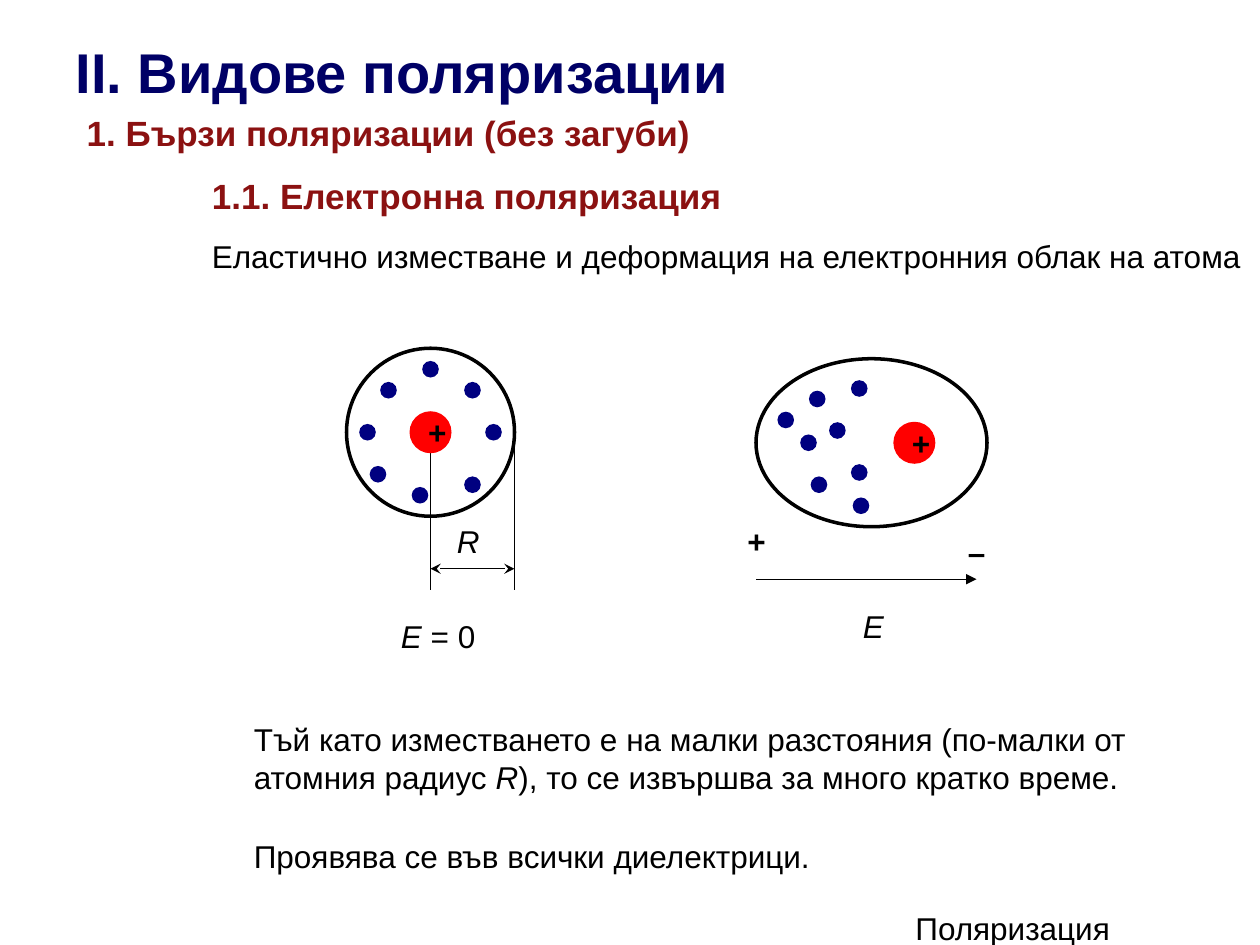
from lxml.etree import SubElement
from pptx import Presentation
from pptx.dml.color import RGBColor
from pptx.enum.shapes import MSO_CONNECTOR as Connector, MSO_SHAPE as Shape
from pptx.enum.text import MSO_ANCHOR as Anchor, MSO_AUTO_SIZE as AutoSize, PP_ALIGN as Align
from pptx.oxml.ns import qn
from pptx.util import Pt

COLORS = {"text": "000000", "title": "000066", "heading": "8B1111",
          "nucleus": "FF0000", "electron": "000080"}
FONT = "Arial"
NUCLEUS_SIZE, ELECTRON_SIZE = 24, 9.5

# Electron centres, measured from the centre of the cloud
ELECTRONS_AT_REST = [(0, -36), (24, -24), (36, 0), (24, 30),
                     (-6, 36), (-30, 24), (-36, 0), (-24, -24)]
ELECTRONS_IN_FIELD = [(-7, -31), (-19.5, -7), (-49, -13), (-7, 17),
                      (-6, 36), (-30, 24), (-36, 0), (-31, -25)]


def color(name):
    return RGBColor.from_string(COLORS[name])


class SlideBuilder:
    def __init__(self, slide):
        self.slide = slide
        self.shapes = slide.shapes

    def start_group(self):
        self.shapes = self.slide.shapes.add_group_shape().shapes

    def end_group(self):
        self.shapes = self.slide.shapes

    def set_text(self, shape, runs, size=18, ink="text", bold=False, wrap=False,
                 align=Align.LEFT, anchor=Anchor.TOP):
        """Fill a shape with one paragraph of (text, italic) runs."""
        text_frame = shape.text_frame
        text_frame.word_wrap = wrap
        text_frame.auto_size = AutoSize.NONE
        text_frame.vertical_anchor = anchor
        paragraph = text_frame.paragraphs[0]
        paragraph.alignment = align
        for text, italic in runs:
            run = paragraph.add_run()
            run.text = text
            font = run.font
            font.name, font.size = FONT, Pt(size)
            font.bold, font.italic = bold, italic
            font.color.rgb = color(ink)

    def title(self, text, left, top, width, height):
        shape = self.slide.shapes.title
        shape.left, shape.top = Pt(left), Pt(top)
        shape.width, shape.height = Pt(width), Pt(height)
        self.set_text(shape, [(text, False)], size=32, ink="title", bold=True)

    def label(self, runs, left, top, width, height=28.8, **style):
        box = self.shapes.add_textbox(Pt(left), Pt(top), Pt(width), Pt(height))
        self.set_text(box, runs, **style)

    def heading(self, text, left, top, width):
        self.label([(text, False)], left, top, width, 31, size=20,
                   ink="heading", bold=True)

    def ellipse(self, x, y, width, height, fill=None):
        """Draw an ellipse about its centre; without a fill it is outlined."""
        shape = self.shapes.add_shape(Shape.OVAL, Pt(x - width / 2), Pt(y - height / 2),
                                      Pt(width), Pt(height))
        shape.shadow.inherit = False
        if fill:
            shape.fill.solid()
            shape.fill.fore_color.rgb = color(fill)
            shape.line.fill.background()
        else:
            shape.fill.background()
            shape.line.color.rgb = color("text")
            shape.line.width = Pt(2)
        return shape

    def atom(self, x, y, width, nucleus_shift, electrons):
        self.ellipse(x, y, width, 96)
        nucleus = self.ellipse(x + nucleus_shift, y, NUCLEUS_SIZE, NUCLEUS_SIZE, "nucleus")
        self.set_text(nucleus, [("+", False)], bold=True, wrap=True,
                      align=Align.CENTER, anchor=Anchor.MIDDLE)
        for dx, dy in electrons:
            self.ellipse(x + dx, y + dy, ELECTRON_SIZE, ELECTRON_SIZE, "electron")

    def line(self, x1, y1, x2, y2, head=None, tail=None):
        connector = self.shapes.add_connector(Connector.STRAIGHT, Pt(x1), Pt(y1), Pt(x2), Pt(y2))
        connector.line.color.rgb = color("text")
        connector.line.width = Pt(0.75)
        properties = connector.element.spPr
        outline = properties.find(qn("a:ln"))
        for tag, arrow in (("a:headEnd", head), ("a:tailEnd", tail)):
            if arrow:
                SubElement(outline, qn(tag), type=arrow)
        SubElement(properties, qn("a:effectLst"))


def main():
    presentation = Presentation()
    presentation.slide_width, presentation.slide_height = Pt(720), Pt(540)
    builder = SlideBuilder(presentation.slides.add_slide(presentation.slide_layouts[5]))

    builder.title("ІІ. Видове поляризации", 36, 18, 388, 45.5)
    builder.heading("1. Бързи поляризации (без загуби)", 42.5, 60, 360)
    builder.heading("1.1. Електронна поляризация", 114, 96, 306)
    builder.label([("Еластично изместване и деформация на електронния облак на атома", False)],
                  114, 132, 606, wrap=True)

    # Atom without a field, with its radius marked
    x, y, radius = 246, 247, 48
    builder.start_group()
    for line_x in (x, x + radius):
        builder.line(line_x, 241, line_x, 337)
    builder.atom(x, y, 2 * radius, 0, ELECTRONS_AT_REST)
    builder.line(x, 325, x + radius, 325, head="stealth", tail="stealth")
    builder.label([("R", True)], 254, 295, 27.5)
    builder.label([("Е", True), (" = 0", False)], 222, 349, 57)
    builder.end_group()

    # Atom deformed by the field
    builder.start_group()
    builder.atom(498, 253, 132, 24.5, ELECTRONS_IN_FIELD)
    builder.line(432, 331, 558, 331, tail="triangle")
    builder.label([("Е", True)], 486, 343.5, 26.5)
    builder.label([("+", False)], 420, 295, 25, bold=True)
    builder.label([("–", False)], 546, 301, 24.5, bold=True)
    builder.end_group()

    builder.label([("Тъй като изместването е на малки разстояния (по-малки от атомния радиус ", False),
                   ("R", True),
                   ("), то се извършва за много кратко време.", False)],
                  138, 408, 540, 50.5, wrap=True)
    builder.label([("Проявява се във всички диелектрици.", False)], 138, 475, 540, wrap=True)
    builder.label([("Поляризация", False)], 516, 516, 168, 19.5, wrap=True)

    presentation.save("out.pptx")


if __name__ == "__main__":
    main()
